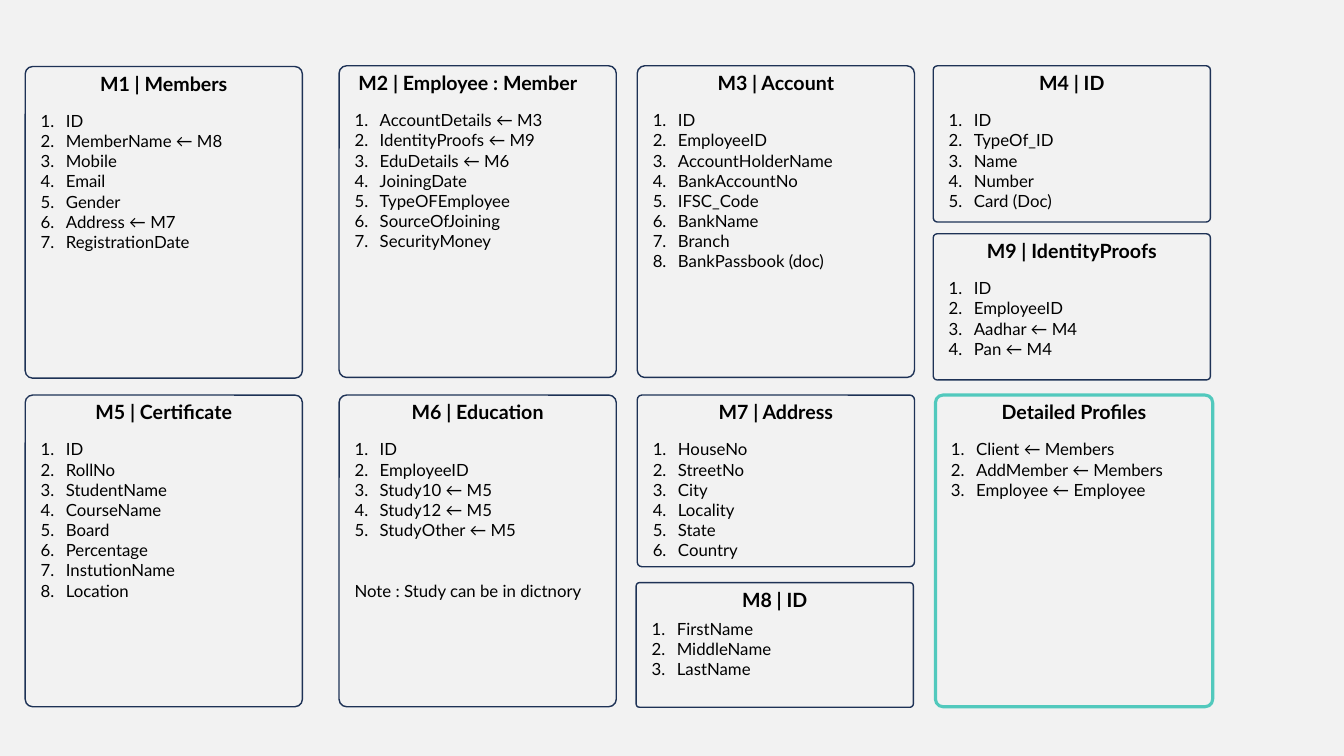
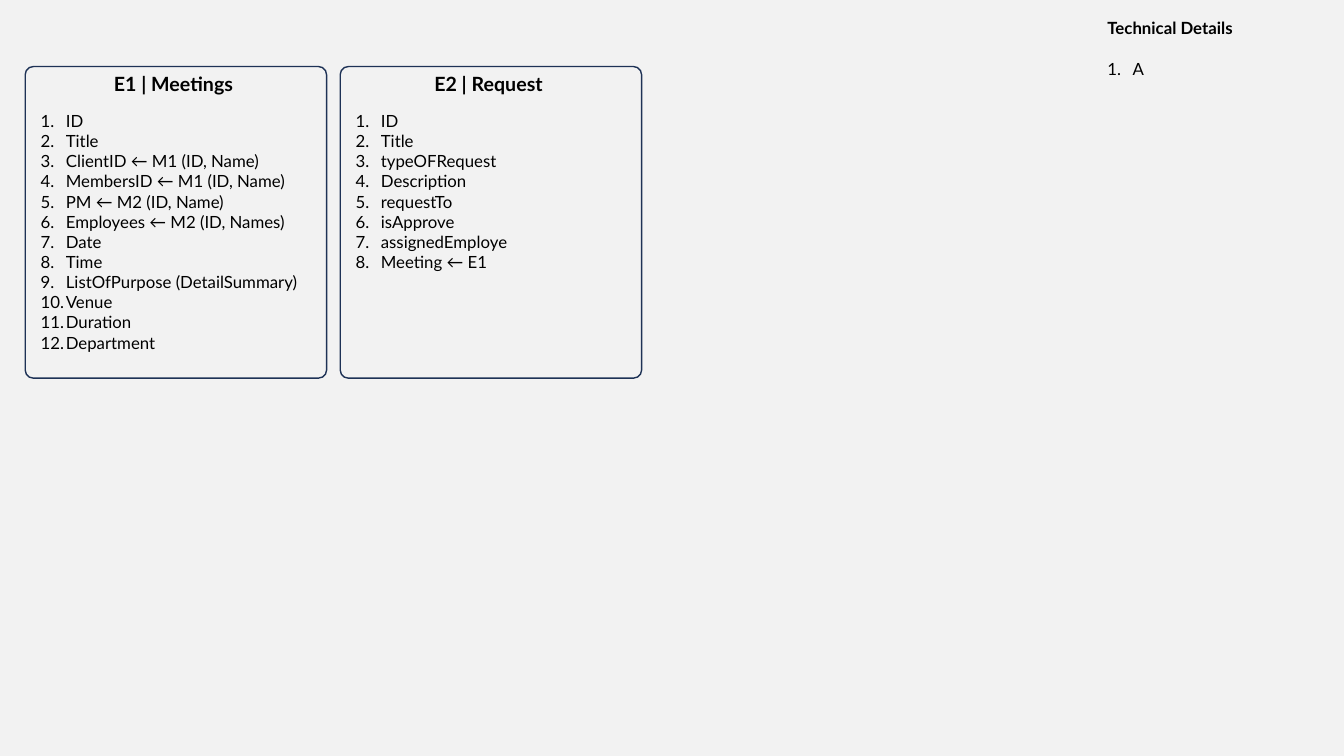
from dataclasses import dataclass

from lxml.etree import SubElement
from pptx import Presentation
from pptx.dml.color import RGBColor
from pptx.enum.shapes import MSO_SHAPE
from pptx.enum.text import MSO_ANCHOR, PP_ALIGN
from pptx.oxml.ns import qn
from pptx.util import Pt

BACKGROUND, NAVY, TEAL, BLACK = "F2F2F2", "1E3256", "52C9BD", "000000"
HEADING_FORMAT = {"name": "Lato", "size": Pt(14), "bold": True}
SUBHEADING_FORMAT = {"name": "Lato", "size": Pt(12), "bold": True}
ITEM_FORMAT = {"name": "Lato", "size": Pt(12), "bold": False}
FRAME_FORMAT = {"word_wrap": True, "vertical_anchor": MSO_ANCHOR.TOP}
LINE_HEIGHT = 14.4
FRAME_INSETS = 7.2
LIST_INDENT = Pt(18)
CORNER = 0.027


@dataclass
class Card:
    heading: str
    items: list
    box: tuple
    line_color: str = NAVY
    line_width: float = 1
    heading_shift: float = 0
    list_top: float = 28
    note: str = ""


def color(hex_value):
    return RGBColor.from_string(hex_value)


def apply_format(target, values):
    for name, value in values.items():
        setattr(target, name, value)


def add_text_frame(shapes, left, top, width, height):
    text_box = shapes.add_textbox(Pt(left), Pt(top), Pt(width), Pt(height))
    apply_format(text_box.text_frame, FRAME_FORMAT)
    return text_box.text_frame


def write_paragraph(text_frame, text, font_format, first=False, **paragraph_format):
    paragraph = text_frame.paragraphs[0] if first else text_frame.add_paragraph()
    apply_format(paragraph, paragraph_format)
    run = paragraph.add_run()
    run.text = text
    apply_format(run.font, font_format)
    run.font.color.rgb = color(BLACK)
    return paragraph


def number_paragraph(paragraph):
    properties = paragraph._p.get_or_add_pPr()
    properties.set("marL", str(LIST_INDENT))
    properties.set("indent", str(-LIST_INDENT))
    SubElement(properties, qn("a:buAutoNum"), type="arabicPeriod")


def add_card(slide, card):
    left, top, width, height = card.box
    shapes = slide.shapes.add_group_shape().shapes

    outline = shapes.add_shape(
        MSO_SHAPE.ROUNDED_RECTANGLE, Pt(left), Pt(top), Pt(width), Pt(height))
    outline.adjustments[0] = CORNER
    outline.shadow.inherit = False
    outline.fill.background()
    outline.line.color.rgb = color(card.line_color)
    outline.line.width = Pt(card.line_width)

    heading = add_text_frame(
        shapes, left + 12 + card.heading_shift, top, width - 24, 24)
    write_paragraph(heading, card.heading, HEADING_FORMAT, first=True,
                    alignment=PP_ALIGN.CENTER)

    lines = len(card.items) + (3 if card.note else 0)
    body = add_text_frame(shapes, left + 4, top + card.list_top, width - 9,
                          lines * LINE_HEIGHT + FRAME_INSETS)
    for index, item in enumerate(card.items):
        number_paragraph(write_paragraph(body, item, ITEM_FORMAT, first=index == 0))
    if card.note:
        write_paragraph(body, card.note, ITEM_FORMAT,
                        space_before=Pt(2 * LINE_HEIGHT))


def add_technical_details(slide, left, top, width):
    details = add_text_frame(slide.shapes, left, top, width,
                             3 * LINE_HEIGHT + FRAME_INSETS)
    write_paragraph(details, "Technical Details", SUBHEADING_FORMAT, first=True)
    number_paragraph(write_paragraph(details, "A", ITEM_FORMAT,
                                     space_before=Pt(LINE_HEIGHT)))


def add_card_slide(presentation, cards):
    slide = presentation.slides.add_slide(presentation.slide_layouts[6])
    for card in cards:
        add_card(slide, card)
    return slide


UPPER, LOWER = 47, 282.2
FIRST, SECOND, THIRD, FOURTH = 18, 242.2, 455.2, 666.6
WIDTH, HEIGHT = 198, 222.6
EVENT_WIDTH, EVENT_STEP, EVENT_TOP = 215.3, 225, 47.5

MODEL_CARDS = [
    Card("M1 | Members",
         ["ID", "MemberName ← M8", "Mobile", "Email", "Gender",
          "Address ← M7", "RegistrationDate"],
         (FIRST, EVENT_TOP, WIDTH, HEIGHT)),
    Card("M2 | Employee : Member",
         ["AccountDetails ← M3", "IdentityProofs ← M9", "EduDetails ← M6",
          "JoiningDate", "TypeOFEmployee", "SourceOfJoining", "SecurityMoney"],
         (SECOND, UPPER, WIDTH, HEIGHT), heading_shift=-7),
    Card("M3 | Account",
         ["ID", "EmployeeID", "AccountHolderName", "BankAccountNo",
          "IFSC_Code", "BankName", "Branch", "BankPassbook (doc)"],
         (THIRD, UPPER, WIDTH, HEIGHT)),
    Card("M4 | ID",
         ["ID", "TypeOf_ID", "Name", "Number", "Card (Doc)"],
         (FOURTH, UPPER, WIDTH, 111.6)),
    Card("M9 | IdentityProofs",
         ["ID", "EmployeeID", "Aadhar ← M4", "Pan ← M4"],
         (FOURTH, 167, WIDTH, 104.4)),
    Card("M5 | Certificate",
         ["ID", "RollNo", "StudentName", "CourseName", "Board",
          "Percentage", "InstutionName", "Location"],
         (FIRST, LOWER, WIDTH, HEIGHT)),
    Card("M6 | Education",
         ["ID", "EmployeeID", "Study10 ← M5", "Study12 ← M5",
          "StudyOther ← M5"],
         (SECOND, LOWER, WIDTH, HEIGHT),
         note="Note : Study can be in dictnory"),
    Card("M7 | Address",
         ["HouseNo", "StreetNo", "City", "Locality", "State", "Country"],
         (THIRD, LOWER, WIDTH, 122.6)),
    Card("M8 | ID",
         ["FirstName", "MiddleName", "LastName"],
         (454.4, 416.2, WIDTH, 89), list_top=22),
    Card("Detailed Profiles",
         ["Client ← Members", "AddMember ← Members", "Employee ← Employee"],
         (668.2, LOWER, WIDTH, HEIGHT), line_color=TEAL, line_width=2.25),
]

EVENT_CARDS = [
    Card("E1 | Meetings ",
         ["ID", "Title", "ClientID ← M1 (ID, Name)",
          "MembersID ← M1 (ID, Name)", "PM ← M2 (ID, Name)",
          "Employees ← M2 (ID, Names)", "Date", "Time",
          "ListOfPurpose (DetailSummary)", "Venue", "Duration", "Department"],
         (FIRST, EVENT_TOP, EVENT_WIDTH, HEIGHT)),
    Card("E2 | Request ",
         ["ID", "Title", "typeOFRequest", "Description", "requestTo",
          "isApprove", "assignedEmploye", "Meeting ← E1"],
         (FIRST + EVENT_STEP, EVENT_TOP, EVENT_WIDTH, HEIGHT)),
]


def main():
    presentation = Presentation()
    apply_format(presentation, {"slide_width": Pt(960), "slide_height": Pt(540)})
    background = presentation.slide_master.background.fill
    background.solid()
    background.fore_color.rgb = color(BACKGROUND)

    add_card_slide(presentation, MODEL_CARDS)
    event_slide = add_card_slide(presentation, EVENT_CARDS)
    add_technical_details(event_slide, 784, 9.4, 168.5)
    presentation.save("out.pptx")


if __name__ == "__main__":
    main()
